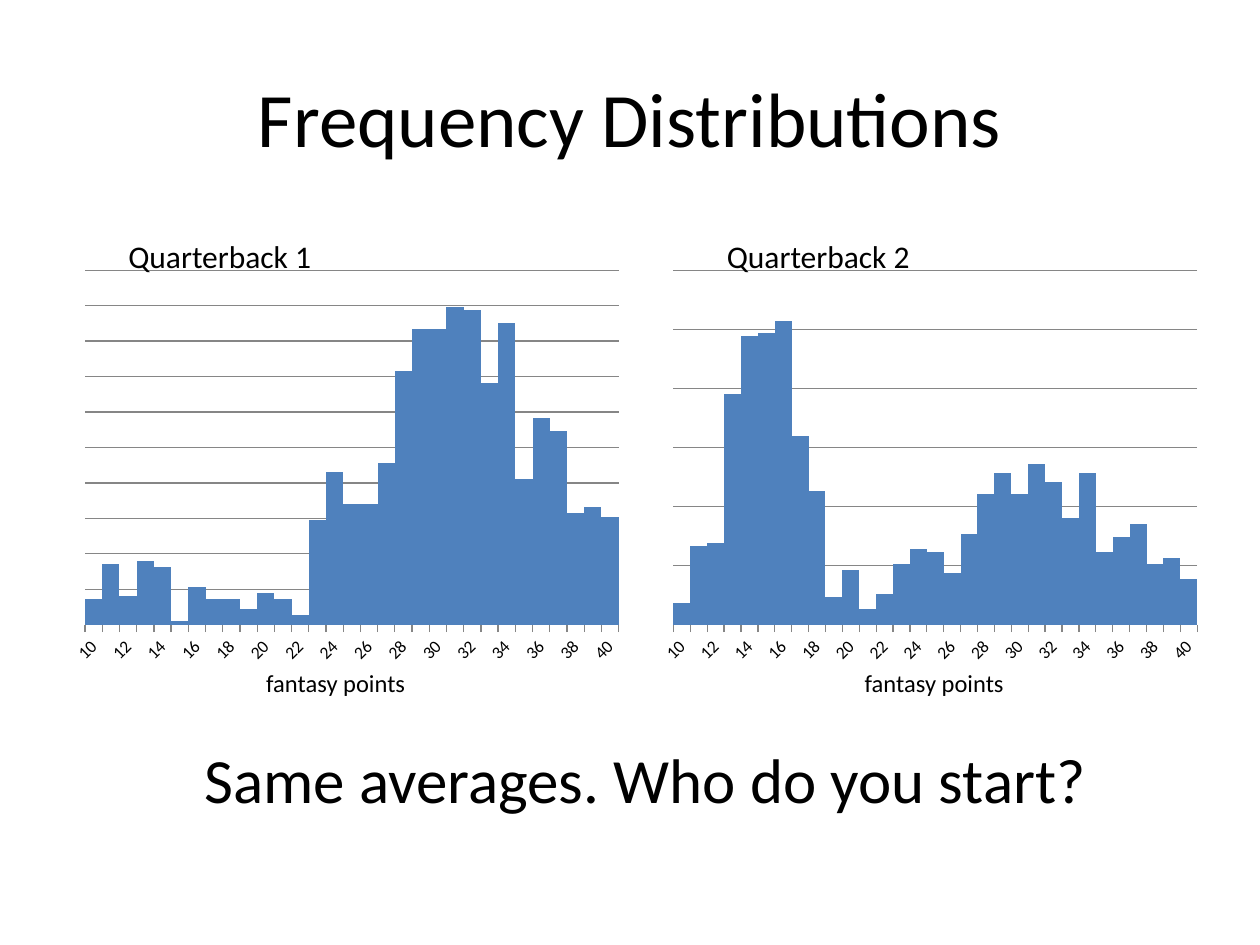
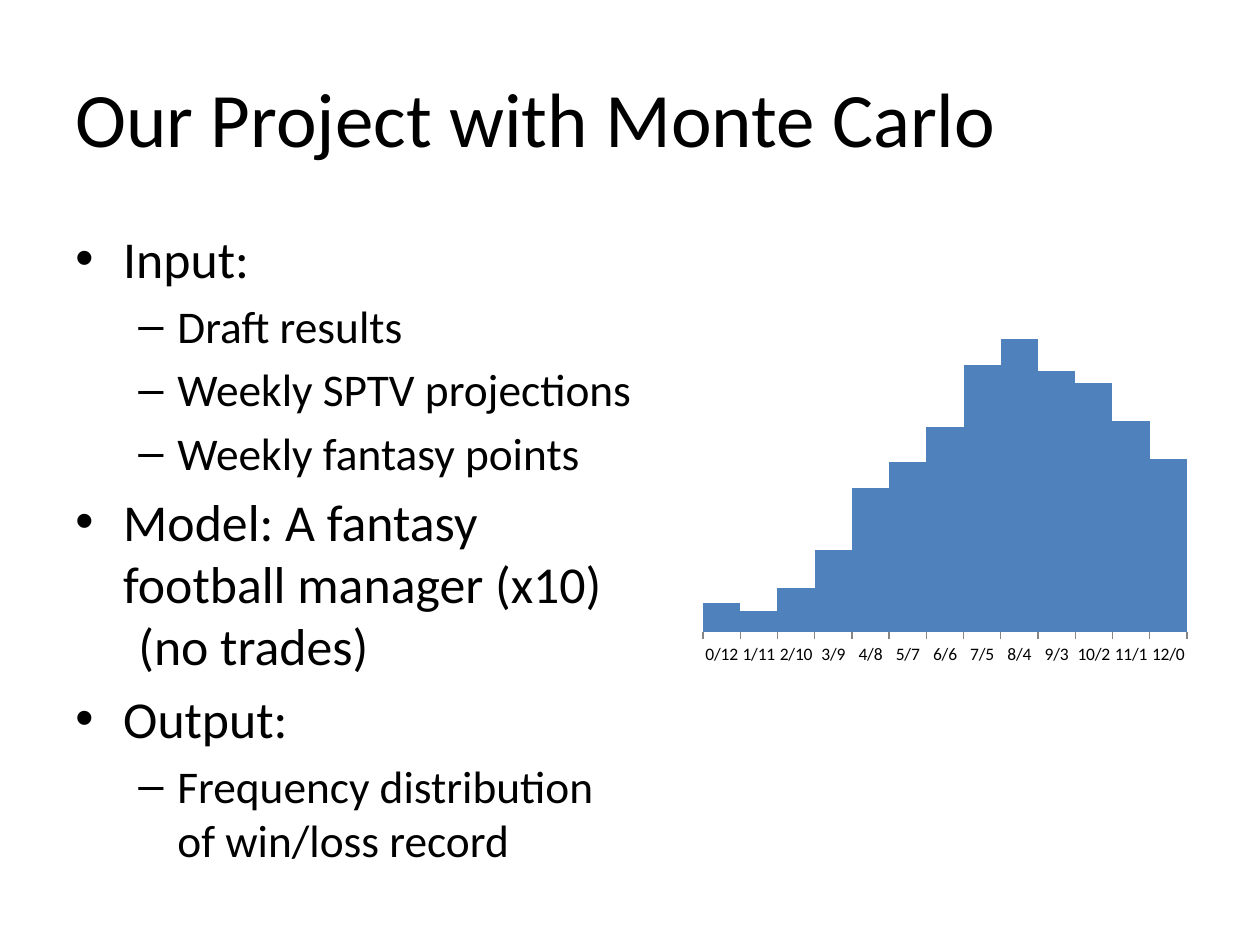
from dataclasses import dataclass

from lxml import etree
from pptx import Presentation
from pptx.chart.data import CategoryChartData
from pptx.dml.color import RGBColor
from pptx.enum.chart import XL_CHART_TYPE, XL_TICK_LABEL_POSITION, XL_TICK_MARK
from pptx.enum.text import MSO_ANCHOR, PP_ALIGN
from pptx.oxml.ns import qn
from pptx.util import Pt

COLUMNS = XL_CHART_TYPE.COLUMN_CLUSTERED
NO_LABELS = XL_TICK_LABEL_POSITION.NONE
TICK_NONE, TICK_OUT = XL_TICK_MARK.NONE, XL_TICK_MARK.OUTSIDE
TOP, MIDDLE = MSO_ANCHOR.TOP, MSO_ANCHOR.MIDDLE
LEFT, CENTER = PP_ALIGN.LEFT, PP_ALIGN.CENTER

EMU_PER_PX = 9144  # 100 px to the inch
SLIDE_W, SLIDE_H = 1000, 750
TITLE_BOX = (50, 30, 900, 125)


@dataclass(frozen=True)
class Theme:
    font: str = "Calibri"
    text: RGBColor = RGBColor(0x00, 0x00, 0x00)
    bar: RGBColor = RGBColor(0x4F, 0x81, 0xBD)
    axis: RGBColor = RGBColor(0x86, 0x86, 0x86)
    title: float = 44
    question: float = 36
    chart_name: float = 18
    axis_name: float = 14
    tick: float = 10


@dataclass(frozen=True)
class Level:
    size: float
    bullet: str
    margin: int
    hanging: int


THEME = Theme()
LEVELS = (Level(29.6, "•", 38, 38), Level(25.9, "–", 81, 31))

POINTS = [str(points) for points in range(10, 41)]
QUARTERBACK_1 = [8, 19, 9, 20, 18, 1, 12, 8, 8, 5, 10, 8, 3, 33, 48, 38, 38, 51,
                 80, 93, 93, 100, 99, 76, 95, 46, 65, 61, 35, 37, 34]
QUARTERBACK_2 = [7, 26, 27, 76, 95, 96, 100, 62, 44, 9, 18, 5, 10, 20, 25, 24, 17, 30,
                 43, 50, 43, 53, 47, 35, 50, 24, 29, 33, 20, 22, 15]
GAMES = 12
RECORDS = [f"{wins}/{GAMES - wins}" for wins in range(GAMES + 1)]
RECORD_FREQUENCY = [10, 7, 15, 28, 49, 58, 70, 91, 100, 89, 85, 72, 59]

OUTLINE = [
    (0, "Input:"),
    (1, "Draft results"),
    (1, "Weekly SPTV projections"),
    (1, "Weekly fantasy points"),
    (0, "Model: A fantasy \vfootball manager (x10)\v\t(no trades)"),
    (0, "Output:"),
    (1, "Frequency distribution \vof win/loss record"),
]


def px(*lengths):
    return [length * EMU_PER_PX for length in lengths]


def style_font(font, size):
    font.name = THEME.font
    font.size = Pt(size)
    font.color.rgb = THEME.text


def text_frame_in(slide, box, anchor=TOP):
    frame = slide.shapes.add_textbox(*px(*box)).text_frame
    frame.word_wrap = True
    frame.vertical_anchor = anchor
    return frame


def fill_paragraph(paragraph, text, size, align=LEFT):
    paragraph.text = text
    paragraph.alignment = align
    for run in paragraph.runs:
        style_font(run.font, size)


def add_line_of_text(slide, box, text, size, align=LEFT, anchor=TOP):
    frame = text_frame_in(slide, box, anchor)
    fill_paragraph(frame.paragraphs[0], text, size, align)


def add_title(slide, text, align):
    add_line_of_text(slide, TITLE_BOX, text, THEME.title, align, MIDDLE)


def add_outline(slide, box, entries):
    frame = text_frame_in(slide, box)
    for number, (depth, text) in enumerate(entries):
        level = LEVELS[depth]
        paragraph = frame.add_paragraph() if number else frame.paragraphs[0]
        fill_paragraph(paragraph, text, level.size)
        paragraph.level = depth
        paragraph.space_before = Pt(round(level.size * 0.2, 1))
        # Hanging bullet
        properties = paragraph._p.get_or_add_pPr()
        margin, hanging = px(level.margin, level.hanging)
        properties.set("marL", str(margin))
        properties.set("indent", str(-hanging))
        etree.SubElement(properties, qn("a:buFont")).set("typeface", "Arial")
        etree.SubElement(properties, qn("a:buChar")).set("char", level.bullet)


def add_histogram(slide, box, categories, values, axis_top, grid_steps=0):
    data = CategoryChartData()
    data.categories = categories
    data.add_series("Series 1", values)
    chart = slide.shapes.add_chart(COLUMNS, *px(*box), data).chart
    chart.has_legend = False
    chart.has_title = False
    style_font(chart.font, THEME.tick)

    # Touching bars
    plot = chart.plots[0]
    plot.gap_width = 0
    plot.vary_by_categories = False
    bars = plot.series[0].format
    bars.fill.solid()
    bars.fill.fore_color.rgb = THEME.bar

    # Axes and grid
    category_axis, value_axis = chart.category_axis, chart.value_axis
    category_axis.major_tick_mark = TICK_OUT
    category_axis.format.line.color.rgb = THEME.axis
    value_axis.minimum_scale, value_axis.maximum_scale = 0, axis_top
    value_axis.major_tick_mark = TICK_NONE
    value_axis.tick_label_position = NO_LABELS
    value_axis.visible = False
    value_axis.has_major_gridlines = grid_steps > 0
    if grid_steps:
        value_axis.major_unit = round(axis_top / grid_steps, 2)
        value_axis.major_gridlines.format.line.color.rgb = THEME.axis


def add_quarterback(slide, box, name, name_x, axis_name_x, values, axis_top, grid_steps):
    left, top, width, height = box
    add_histogram(slide, box, POINTS, values, axis_top, grid_steps)
    add_line_of_text(slide, (left + name_x, top - 25, 267, 42), name, THEME.chart_name)
    add_line_of_text(slide, (left + axis_name_x, top + height - 8, 267, 34),
                     "fantasy points", THEME.axis_name, CENTER)


def build_distributions(slide):
    add_title(slide, "Frequency Distributions", CENTER)
    add_quarterback(slide, (50, 208, 450, 325), "Quarterback 1", 42, 83,
                    QUARTERBACK_1, 111.6, 10)
    add_quarterback(slide, (517, 208, 442, 325), "Quarterback 2", 50, 91,
                    QUARTERBACK_2, 116.7, 6)
    add_line_of_text(slide, (133, 583, 758, 71), "Same averages. Who do you start?",
                     THEME.question, CENTER)


def build_project(slide):
    add_title(slide, "Our Project with Monte Carlo", LEFT)
    add_outline(slide, (50, 175, 900, 495), OUTLINE)
    add_histogram(slide, (550, 233, 400, 300), RECORDS, RECORD_FREQUENCY, 113)


def main():
    deck = Presentation()
    deck.slide_width, deck.slide_height = px(SLIDE_W, SLIDE_H)
    blank = deck.slide_layouts[6]
    for build in (build_distributions, build_project):
        build(deck.slides.add_slide(blank))
    deck.save("out.pptx")


if __name__ == "__main__":
    main()
